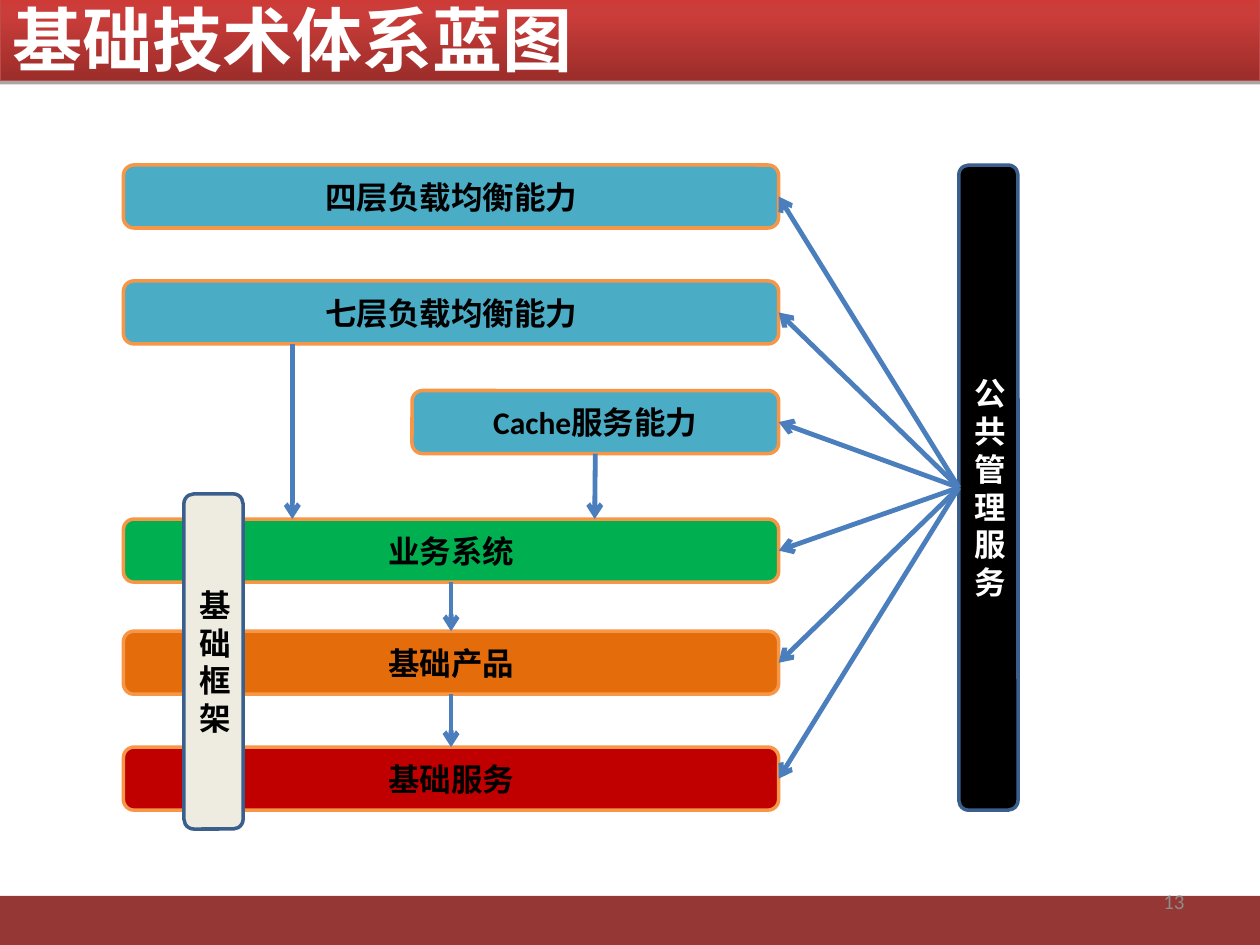
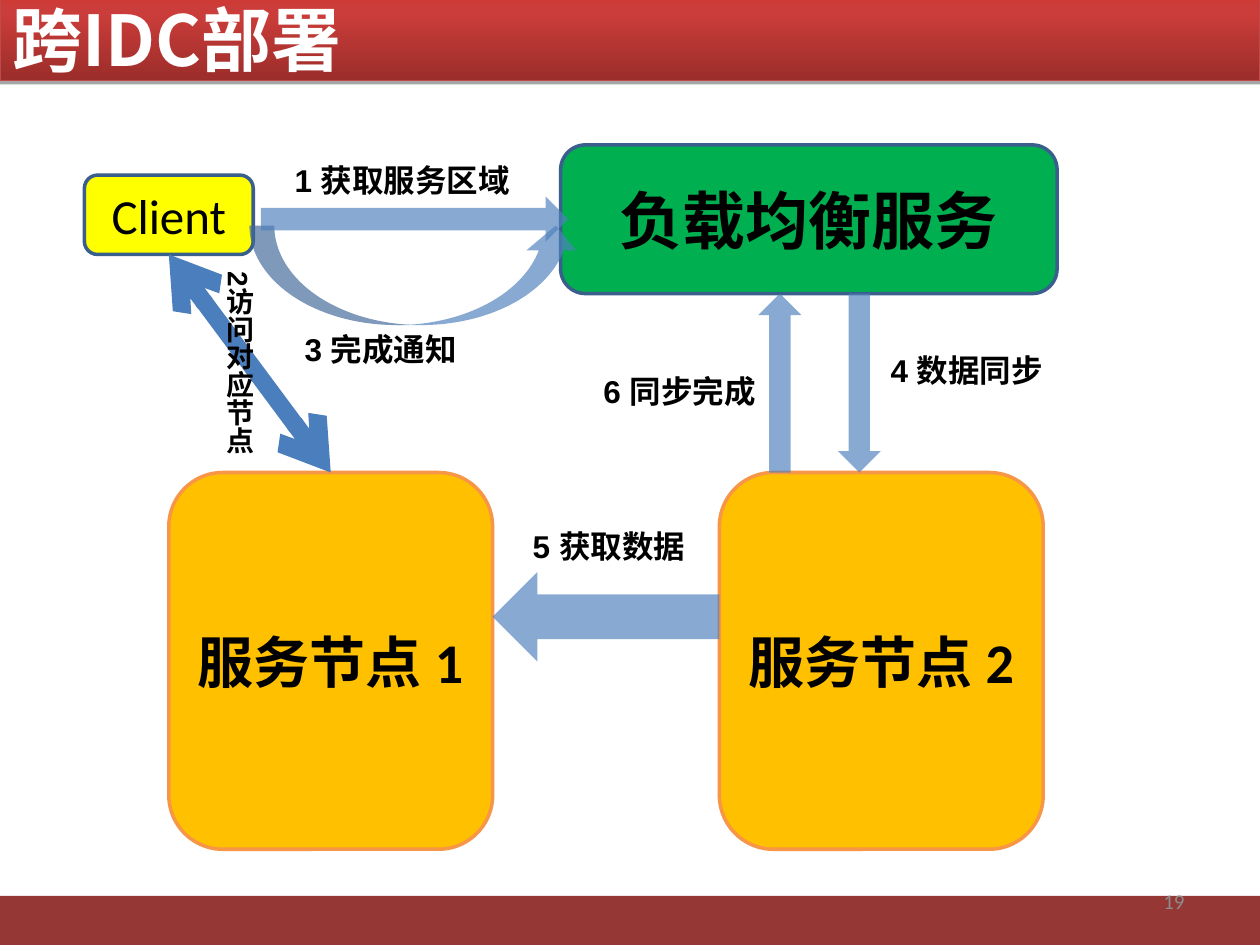
from dataclasses import dataclass

from lxml import etree
from pptx import Presentation
from pptx.dml.color import RGBColor
from pptx.enum.shapes import MSO_CONNECTOR, MSO_SHAPE
from pptx.enum.text import MSO_ANCHOR, MSO_AUTO_SIZE, PP_ALIGN
from pptx.oxml import parse_xml
from pptx.oxml.ns import nsdecls, qn
from pptx.util import Inches, Pt

RECTANGLE = MSO_SHAPE.RECTANGLE
ROUNDED = MSO_SHAPE.ROUNDED_RECTANGLE
RIGHT_ARROW = MSO_SHAPE.RIGHT_ARROW
DOWN_ARROW = MSO_SHAPE.DOWN_ARROW
CURVED_ARROW = MSO_SHAPE.CURVED_DOWN_ARROW
STRAIGHT = MSO_CONNECTOR.STRAIGHT
LEFT, CENTER, RIGHT = PP_ALIGN.LEFT, PP_ALIGN.CENTER, PP_ALIGN.RIGHT
TOP, MIDDLE = MSO_ANCHOR.TOP, MSO_ANCHOR.MIDDLE
NO_FIT, GROW = MSO_AUTO_SIZE.NONE, MSO_AUTO_SIZE.SHAPE_TO_FIT_TEXT
SIDE_TOP, SIDE_LEFT, SIDE_BOTTOM, SIDE_RIGHT = range(4)

BLACK = RGBColor(0x00, 0x00, 0x00)
WHITE = RGBColor(0xFF, 0xFF, 0xFF)
GREY = RGBColor(0x8C, 0x8C, 0x8C)
MAROON = RGBColor(0x95, 0x37, 0x35)
TEAL = RGBColor(0x4B, 0xAC, 0xC6)
GREEN = RGBColor(0x00, 0xB0, 0x50)
ORANGE = RGBColor(0xE4, 0x6C, 0x0A)
RED = RGBColor(0xC0, 0x00, 0x00)
AMBER = RGBColor(0xFF, 0xC0, 0x00)
YELLOW = RGBColor(0xFF, 0xFF, 0x00)
IVORY = RGBColor(0xEE, 0xEC, 0xE1)
ORANGE_EDGE = RGBColor(0xF7, 0x96, 0x46)
NAVY_EDGE = RGBColor(0x3A, 0x5F, 0x8C)
ARROW_BLUE = RGBColor(0x4B, 0x7E, 0xBC)
BLOCK_BLUE = RGBColor(0x4F, 0x81, 0xBD)

BODY_FONT, LABEL_FONT, CJK_FONT = "Calibri", "Arial", "Noto Sans CJK SC"

TITLE_STYLE = (
    f'<a:prstGeom {nsdecls("a")} prst="rect"><a:avLst/></a:prstGeom>',
    f'<a:gradFill {nsdecls("a")} rotWithShape="1"><a:gsLst>'
    '<a:gs pos="0"><a:srgbClr val="9B2D2A"/></a:gs>'
    '<a:gs pos="80000"><a:srgbClr val="CB3D3A"/></a:gs>'
    '<a:gs pos="100000"><a:srgbClr val="CE3B37"/></a:gs>'
    '</a:gsLst><a:lin ang="16200000" scaled="0"/></a:gradFill>',
    f'<a:ln {nsdecls("a")} w="9525"><a:solidFill><a:srgbClr val="BE4B48"/></a:solidFill></a:ln>',
    f'<a:effectLst {nsdecls("a")}><a:outerShdw blurRad="0" dist="22860" dir="5400000" rotWithShape="0">'
    '<a:srgbClr val="000000"><a:alpha val="35000"/></a:srgbClr></a:outerShdw></a:effectLst>',
)


@dataclass(frozen=True)
class Block:
    text: str
    left: float
    top: float
    width: float
    height: float
    fill: RGBColor
    edge: RGBColor = ORANGE_EDGE
    color: RGBColor = BLACK
    size: int = 18
    bold: bool = True


@dataclass(frozen=True)
class BlockArrow:
    kind: int
    left: float
    top: float
    width: float
    height: float
    rotation: int = 0
    flipped: bool = False


@dataclass(frozen=True)
class Label:
    text: str
    left: float
    top: float
    width: float = 1.97
    height: float = 0.4
    size: int = 18
    vertical: bool = False


LAYERS = (
    Block("四层负载均衡能力", 0.98, 1.31, 5.2, 0.5, TEAL),
    Block("七层负载均衡能力", 0.98, 2.23, 5.2, 0.5, TEAL),
    Block("Cache服务能力", 3.27, 3.1, 2.91, 0.5, TEAL),
    Block("业务系统", 0.98, 4.12, 5.2, 0.5, GREEN),
    Block("基础产品", 0.98, 5.01, 5.2, 0.5, ORANGE),
    Block("基础服务", 0.98, 5.93, 5.2, 0.5, RED),
)
MANAGEMENT = Block("公共管理服务", 7.61, 1.31, 0.47, 5.12, BLACK, NAVY_EDGE, WHITE)
FRAMEWORK = Block("基础框架", 1.46, 3.92, 0.47, 2.66, IVORY, NAVY_EDGE)

CLIENT = Block("Client", 0.67, 1.39, 1.34, 0.63, YELLOW, NAVY_EDGE, size=28, bold=False)
BALANCER = Block("负载均衡服务", 4.45, 1.15, 3.94, 1.18, GREEN, NAVY_EDGE, size=36)
NODES = tuple(
    Block(f"服务节点 {number}", left, 3.75, 2.57, 2.99, AMBER, size=32)
    for number, left in ((1, 1.34), (2, 5.71))
)
FLOWS = (
    BlockArrow(CURVED_ARROW, 1.98, 1.79, 2.63, 0.79, flipped=True),
    BlockArrow(DOWN_ARROW, 6.65, 2.33, 0.34, 1.42),
    BlockArrow(RIGHT_ARROW, 3.91, 4.54, 1.8, 0.71, rotation=180),
    BlockArrow(DOWN_ARROW, 6.02, 2.33, 0.34, 1.42, rotation=180),
    BlockArrow(RIGHT_ARROW, 2.07, 1.56, 2.44, 0.36),
)
STEPS = (
    Label("1 获取服务区域", 2.24, 1.23),
    Label("2访问对应节点", 1.61, 2.06, 0.47, 1.85, 16, True),
    Label("3 完成通知", 2.32, 2.57),
    Label("4 数据同步", 6.97, 2.74),
    Label("5 获取数据", 4.13, 4.13),
    Label("6 同步完成", 4.69, 2.9),
)


def write_text(box, text: str, *, size: int, color: RGBColor = BLACK, font: str = BODY_FONT,
               bold: bool = False, align=LEFT, anchor=MIDDLE, fit=NO_FIT) -> None:
    frame = box.text_frame
    frame.word_wrap = True
    frame.auto_size = fit
    frame.vertical_anchor = anchor
    para = frame.paragraphs[0]
    para.alignment = align
    span = para.add_run()
    span.text = text
    span.font.name = font
    span.font.size = Pt(size)
    span.font.bold = bold
    span.font.color.rgb = color
    east_asian = etree.Element(qn("a:ea"), typeface=CJK_FONT)
    span.font._element.find(qn("a:latin")).addnext(east_asian)


def add_filled(page, kind, left: float, top: float, width: float, height: float, fill: RGBColor):
    shape = page.shapes.add_shape(kind, Inches(left), Inches(top), Inches(width), Inches(height))
    shape.shadow.inherit = False
    shape.fill.solid()
    shape.fill.fore_color.rgb = fill
    shape.line.fill.background()
    return shape


def add_block(page, block: Block):
    box = add_filled(page, ROUNDED, block.left, block.top, block.width, block.height, block.fill)
    box.line.color.rgb = block.edge
    box.line.width = Pt(2)
    write_text(box, block.text, size=block.size, color=block.color, bold=block.bold, align=CENTER)
    return box


def add_flow(page, flow: BlockArrow) -> None:
    arrow = add_filled(page, flow.kind, flow.left, flow.top, flow.width, flow.height, BLOCK_BLUE)
    arrow.rotation = flow.rotation
    properties = arrow._element.spPr
    color = properties.find(qn("a:solidFill")).find(qn("a:srgbClr"))
    etree.SubElement(color, qn("a:alpha"), val="67000")
    if flow.flipped:
        properties.find(qn("a:xfrm")).set("flipV", "1")


def add_text_box(page, left: float, top: float, width: float, height: float):
    return page.shapes.add_textbox(Inches(left), Inches(top), Inches(width), Inches(height))


def add_label(page, label: Label) -> None:
    box = add_text_box(page, label.left, label.top, label.width, label.height)
    write_text(box, label.text, size=label.size, font=LABEL_FONT, bold=True, anchor=TOP, fit=GROW)
    if label.vertical:
        box.text_frame._txBody.bodyPr.set("vert", "eaVert")


def add_arrow(page, start=(0, 0), end=(0, 0), *, source=None, target=None,
              weight: float = 2.75, two_way: bool = False) -> None:
    points = [Inches(value) for value in (*start, *end)]
    arrow = page.shapes.add_connector(STRAIGHT, *points)
    if source:
        arrow.begin_connect(*source)
    if target:
        arrow.end_connect(*target)
    arrow.line.color.rgb = ARROW_BLUE
    arrow.line.width = Pt(weight)
    properties = arrow._element.spPr
    line = properties.find(qn("a:ln"))
    for tag in ("a:headEnd", "a:tailEnd") if two_way else ("a:tailEnd",):
        etree.SubElement(line, qn(tag), type="arrow")
    etree.SubElement(properties, qn("a:effectLst"))


def add_page(deck, title: str, number: int):
    page = deck.slides.add_slide(deck.slide_layouts[5])
    heading = page.shapes.title
    heading.left, heading.top = Inches(0), Inches(-0.03)
    heading.width, heading.height = Inches(10), Inches(0.67)
    for style in TITLE_STYLE:
        heading._element.spPr.append(parse_xml(style))
    write_text(heading, title, size=40, color=WHITE, font=CJK_FONT, bold=True)
    add_filled(page, RECTANGLE, 0, 7.11, 10, 0.39, MAROON)
    write_text(add_text_box(page, 7.17, 6.95, 2.33, 0.4), str(number),
               size=12, color=GREY, align=RIGHT)
    return page


def build_blueprint(deck) -> None:
    page = add_page(deck, "基础技术体系蓝图", 13)
    layers = [add_block(page, layer) for layer in LAYERS]
    cache, business, products, services = layers[2:]
    management = add_block(page, MANAGEMENT)
    add_arrow(page, (4.72, 3.6), (4.72, 4.12), source=(cache, SIDE_BOTTOM))
    add_arrow(page, (2.32, 2.73), (2.32, 4.12))
    for upper, lower in ((business, products), (products, services)):
        add_arrow(page, source=(upper, SIDE_BOTTOM), target=(lower, SIDE_TOP))
    add_block(page, FRAMEWORK)
    for layer in layers:
        add_arrow(page, source=(management, SIDE_LEFT), target=(layer, SIDE_RIGHT))


def build_deployment(deck) -> None:
    page = add_page(deck, "跨IDC部署", 19)
    client = add_block(page, CLIENT)
    add_block(page, BALANCER)
    nodes = [add_block(page, node) for node in NODES]
    add_arrow(page, source=(client, SIDE_BOTTOM), target=(nodes[0], SIDE_TOP),
              weight=10, two_way=True)
    for flow in FLOWS:
        add_flow(page, flow)
    for step in STEPS:
        add_label(page, step)


def main() -> None:
    deck = Presentation()
    deck.slide_width, deck.slide_height = Inches(10), Inches(7.5)
    build_blueprint(deck)
    build_deployment(deck)
    deck.save("out.pptx")


if __name__ == "__main__":
    main()
